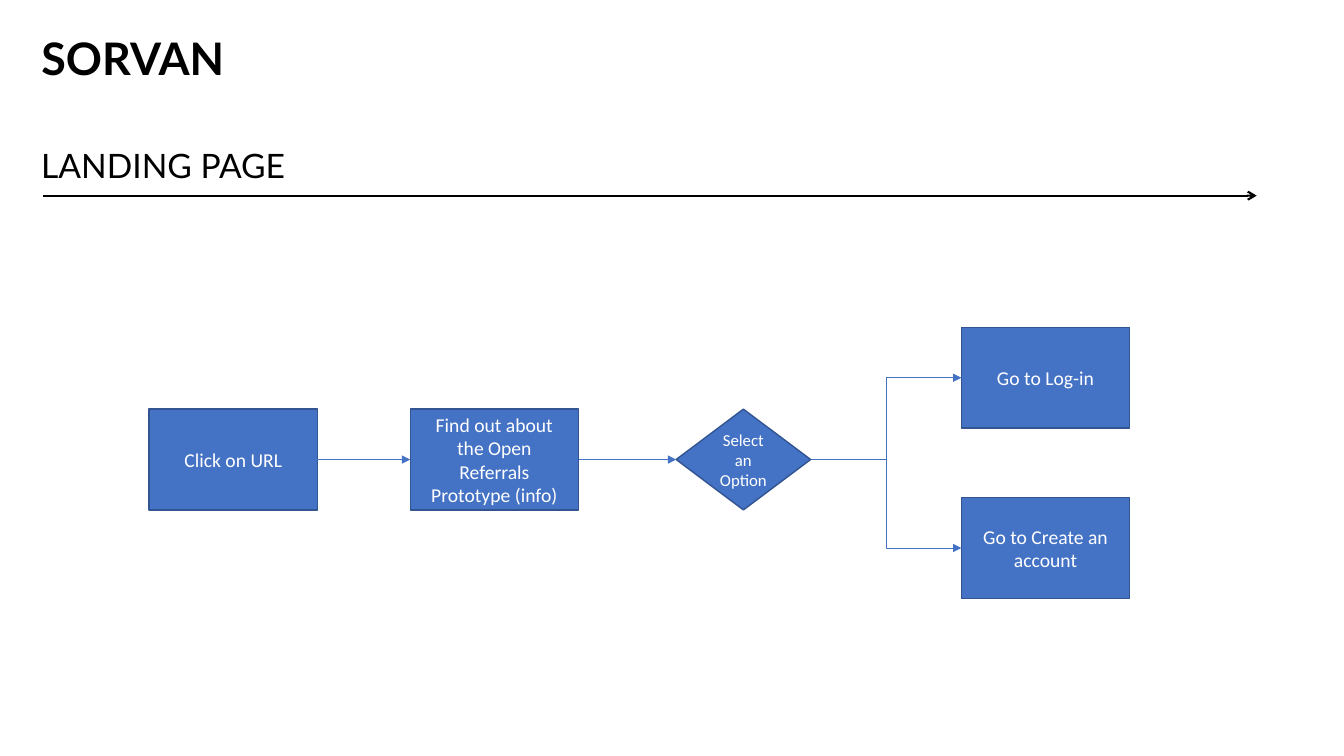
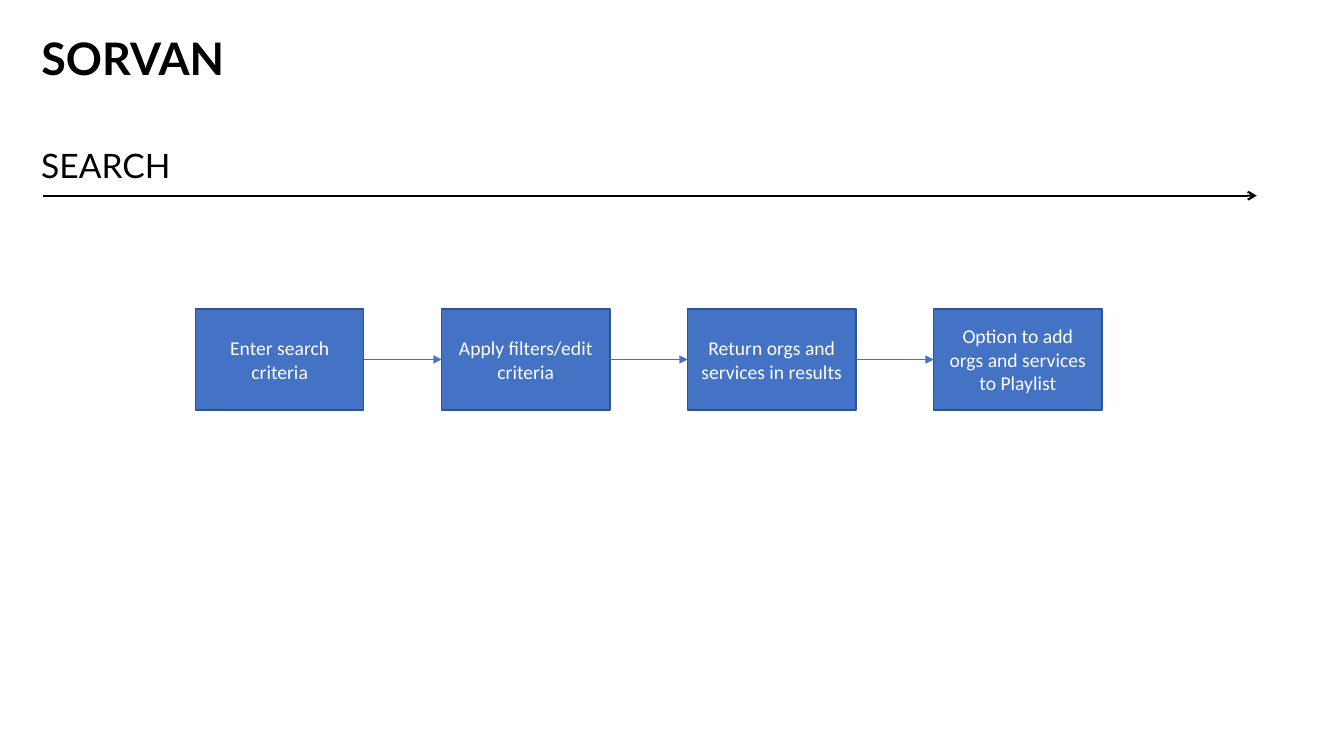
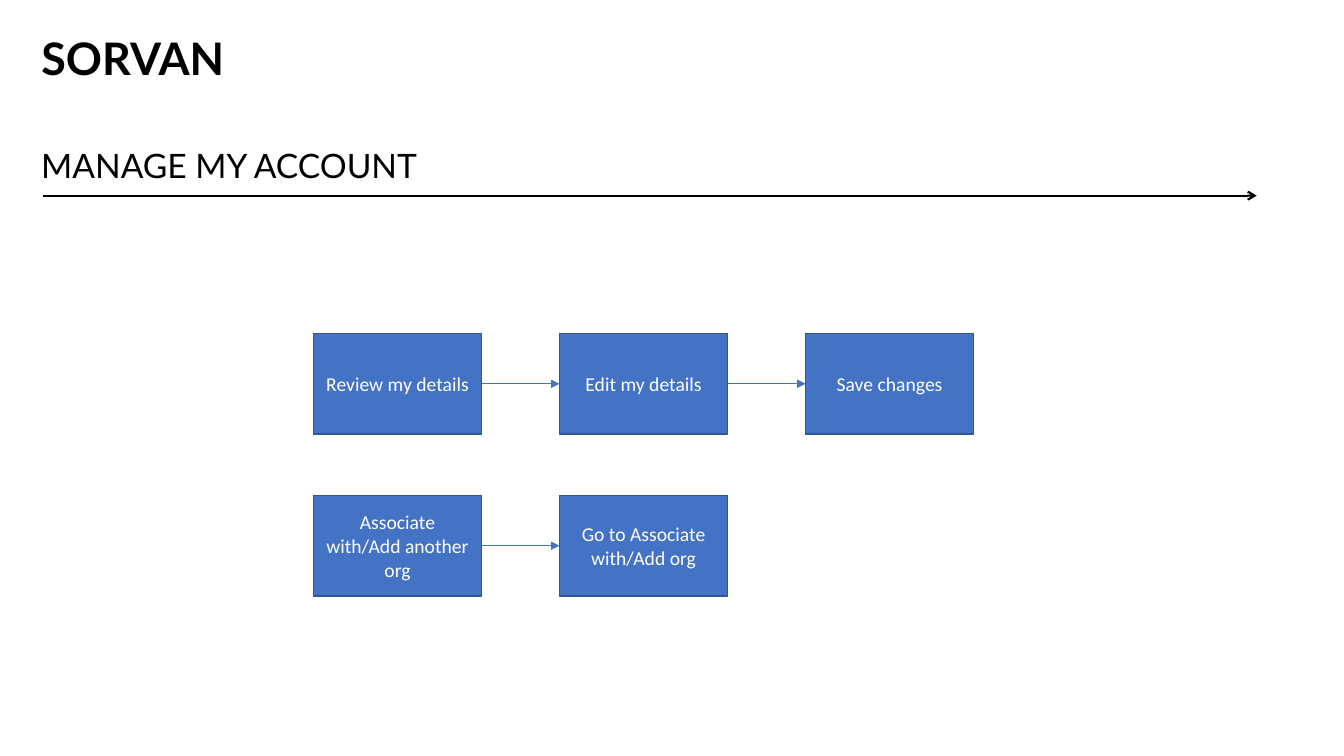
from pptx import Presentation
from pptx.dml.color import RGBColor
from pptx.enum.shapes import MSO_CONNECTOR, MSO_SHAPE
from pptx.enum.text import MSO_ANCHOR, MSO_AUTO_SIZE, PP_ALIGN
from pptx.oxml.ns import qn
from pptx.util import Cm, Pt
from lxml.etree import SubElement

BLACK = RGBColor(0x00, 0x00, 0x00)
WHITE = RGBColor(0xFF, 0xFF, 0xFF)
BLUE = RGBColor(0x44, 0x72, 0xC4)
DARK_BLUE = RGBColor(0x32, 0x54, 0x91)

STEP_WIDTH, STEP_HEIGHT, STEP_PITCH = 4.24, 2.54, 6.2
DECISION_WIDTH = 3.39
LEFT_SITE, RIGHT_SITE = 1, 3


def write_text(shape, text, font="Calibri", size=14, color=WHITE, bold=False,
               align=PP_ALIGN.CENTER, anchor=MSO_ANCHOR.MIDDLE, line_spacing=None):
    frame = shape.text_frame
    frame.text = text
    frame.word_wrap = True
    frame.auto_size = MSO_AUTO_SIZE.NONE
    frame.vertical_anchor = anchor
    for paragraph in frame.paragraphs:
        paragraph.alignment = align
        paragraph.line_spacing = line_spacing
        paragraph.font.name = font
        paragraph.font.size = Pt(size)
        paragraph.font.bold = bold
        paragraph.font.color.rgb = color


def draw_arrow(slide, start, end, color=BLUE, width=0.5, head="triangle"):
    kind = MSO_CONNECTOR.STRAIGHT if start[1] == end[1] else MSO_CONNECTOR.ELBOW
    arrow = slide.shapes.add_connector(kind, *start, *end)
    arrow.line.color.rgb = color
    arrow.line.width = Pt(width)
    SubElement(arrow.line._get_or_add_ln(), qn("a:tailEnd"), type=head)
    SubElement(arrow._element.spPr, qn("a:effectLst"))
    return arrow


def_heading = dict(font="Lato", color=BLACK, align=PP_ALIGN.LEFT,
                   anchor=MSO_ANCHOR.TOP, line_spacing=0.9)

landing_steps = [
    ("Click on URL", 3.76, 10.31),
    ("Find out about the Open Referrals Prototype (info)", 10.34, 10.31),
    ("Select an\nOption", 17.04, 10.31),
    ("Go to Log-in", 24.23, 8.25),
    ("Go to Create an account", 24.23, 12.54),
]
search_steps = [
    (text, 4.93 + column * STEP_PITCH, 7.79)
    for column, text in enumerate([
        "Enter search criteria",
        "Apply filters/edit criteria",
        "Return orgs and services in results",
        "Option to add orgs and services to Playlist",
    ])
]
account_rows = [
    (8.4, ["Review my details", "Edit my details", "Save changes"]),
    (12.48, ["Associate with/Add another org", "Go to Associate with/Add org"]),
]
account_steps = [
    (text, 7.9 + column * STEP_PITCH, top)
    for top, texts in account_rows
    for column, text in enumerate(texts)
]
flows = [
    ("LANDING PAGE", landing_steps, [(0, 1), (1, 2), (2, 4), (2, 3)]),
    ("SEARCH", search_steps, [(0, 1), (1, 2), (2, 3)]),
    ("MANAGE MY ACCOUNT", account_steps, [(0, 1), (1, 2), (3, 4)]),
]
decisions = {"Select an\nOption"}

presentation = Presentation()
presentation.slide_width = Cm(33.87)
presentation.slide_height = Cm(19.05)

for heading, steps, links in flows:
    slide = presentation.slides.add_slide(presentation.slide_layouts[5])

    title = slide.shapes.title
    title.left, title.top, title.width, title.height = Cm(0.79), Cm(0.81), Cm(25.12), Cm(1.04)
    write_text(title, "SORVAN", size=32, bold=True, **def_heading)

    subtitle = slide.shapes.add_textbox(Cm(0.79), Cm(3.63), Cm(18), Cm(1.04))
    write_text(subtitle, heading, size=24, **def_heading)
    draw_arrow(slide, (Cm(1.09), Cm(4.93)), (Cm(31.67), Cm(4.93)),
               color=BLACK, width=1.5, head="arrow")

    boxes = []
    for text, left, top in steps:
        is_decision = text in decisions
        box = slide.shapes.add_shape(
            MSO_SHAPE.FLOWCHART_DECISION if is_decision else MSO_SHAPE.RECTANGLE,
            Cm(left), Cm(top),
            Cm(DECISION_WIDTH if is_decision else STEP_WIDTH), Cm(STEP_HEIGHT))
        box.shadow.inherit = False
        box.fill.solid()
        box.fill.fore_color.rgb = BLUE
        box.line.color.rgb = DARK_BLUE
        box.line.width = Pt(1)
        write_text(box, text, size=12 if is_decision else 14)
        if is_decision:
            frame = box.text_frame
            frame.margin_left = frame.margin_right = Cm(0.1)
            frame.margin_top = frame.margin_bottom = Cm(0.1)
        boxes.append(box)

    for source_index, target_index in links:
        source, target = boxes[source_index], boxes[target_index]
        arrow = draw_arrow(
            slide,
            (source.left + source.width, source.top + source.height // 2),
            (target.left, target.top + target.height // 2))
        arrow.begin_connect(source, RIGHT_SITE)
        arrow.end_connect(target, LEFT_SITE)

presentation.save("out.pptx")
